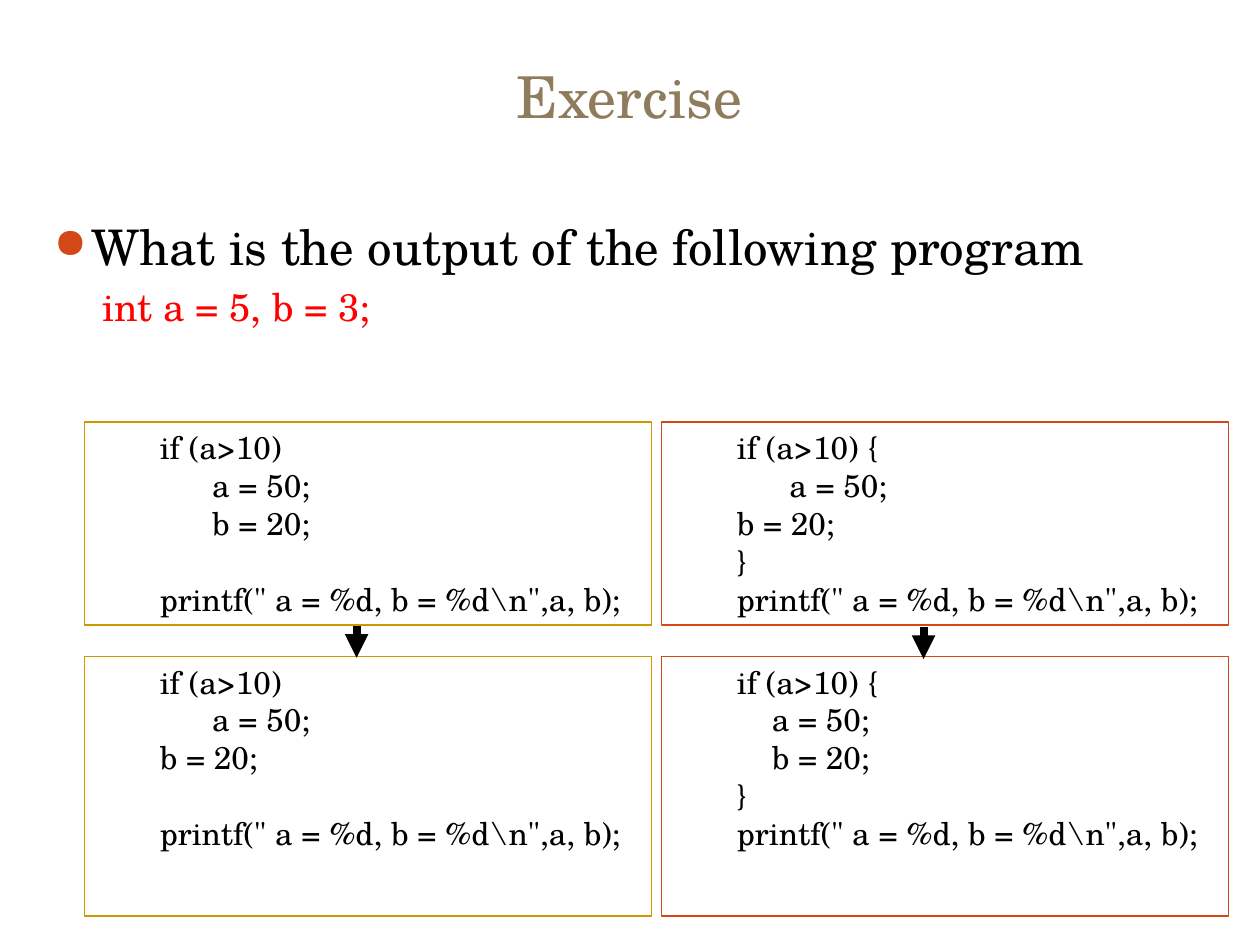
from dataclasses import dataclass

import pptx
import pptx.dml.color
import pptx.enum.shapes
import pptx.enum.text
import pptx.oxml.ns
import pptx.util
from lxml import etree
from pptx.dml.color import RGBColor
from pptx.util import Inches

FONT = "TeX Gyre Schola"
BLACK = RGBColor(0x00, 0x00, 0x00)
RED = RGBColor(0xFF, 0x00, 0x00)
TAUPE = RGBColor(0x8E, 0x7C, 0x5C)
GOLD = RGBColor(0xCC, 0x99, 0x00)
ORANGE = RGBColor(0xD3, 0x48, 0x17)

LEFT, RIGHT = 0.67, 5.25
UPPER, LOWER = 3.35, 5.21
CODE_WIDTH = 4.5
CODE_LINE = 21.6
PRINT_LINE = 'printf(" a = %d, b = %d\\n",a, b);'


@dataclass(frozen=True)
class CodeBox:
    left: float
    top: float
    height: float
    color: RGBColor
    code: tuple[str, ...]


@dataclass(frozen=True)
class Arrow:
    x: float
    top: float
    length: float = 0.25


CODE_BOXES = (
    CodeBox(RIGHT, UPPER, 1.61, ORANGE,
            ("if (a>10) {", "      a = 50;", "b = 20;", "}", PRINT_LINE)),
    CodeBox(LEFT, UPPER, 1.61, GOLD,
            ("if (a>10)", "      a = 50;", "      b = 20;", "", PRINT_LINE)),
    CodeBox(LEFT, LOWER, 2.06, GOLD,
            ("if (a>10)", "      a = 50;", "b = 20;", "", PRINT_LINE)),
    CodeBox(RIGHT, LOWER, 2.06, ORANGE,
            ("if (a>10) {", "    a = 50;", "    b = 20;", "}", PRINT_LINE)),
)
ARROWS = (Arrow(2.83, 4.97), Arrow(7.33, 4.98))


def add_element(parent, tag: str, **attributes: str):
    return etree.SubElement(parent, pptx.oxml.ns.qn(tag), attributes)


def add_paragraph(frame, text: str, *, size: float, color: RGBColor = BLACK,
                  align=pptx.enum.text.PP_ALIGN.LEFT, margin: float = 0,
                  indent: float = 0, before: float = 0,
                  bullet_color: RGBColor | None = None) -> None:
    """Fill the frame's empty first paragraph, or append a new one."""
    first = frame.paragraphs[0]
    para = frame.add_paragraph() if first.runs else first
    para.alignment = align
    para.space_before = pptx.util.Pt(before)
    properties = para._p.get_or_add_pPr()
    properties.set("marL", str(Inches(margin)))
    properties.set("indent", str(Inches(indent)))
    if bullet_color is not None:
        add_element(add_element(properties, "a:buClr"), "a:srgbClr",
                    val=str(bullet_color))
        add_element(properties, "a:buSzPct", val="85000")
        add_element(properties, "a:buChar", char="●")
    span = para.add_run()
    span.text = text
    span.font.name = FONT
    span.font.size = pptx.util.Pt(size)
    span.font.color.rgb = color


def add_text_box(page, left: float, top: float, width: float, height: float,
                 anchor=pptx.enum.text.MSO_ANCHOR.TOP):
    box = page.shapes.add_textbox(Inches(left), Inches(top),
                                  Inches(width), Inches(height))
    box.text_frame.word_wrap = True
    box.text_frame.vertical_anchor = anchor
    return box.text_frame


def draw_code_box(page, item: CodeBox) -> None:
    """Draw an outlined listing; an empty code line becomes space before the next."""
    box = page.shapes.add_shape(
        pptx.enum.shapes.MSO_SHAPE.RECTANGLE, Inches(item.left),
        Inches(item.top), Inches(CODE_WIDTH), Inches(item.height))
    box.shadow.inherit = False
    box.fill.background()
    box.line.color.rgb = item.color
    box.line.width = pptx.util.Pt(0.75)
    frame = box.text_frame
    frame.word_wrap = True
    frame.vertical_anchor = pptx.enum.text.MSO_ANCHOR.TOP
    gap = 0
    for line in item.code:
        if not line:
            gap += CODE_LINE
            continue
        add_paragraph(frame, line, size=18, margin=0.5, before=gap)
        gap = 0


def draw_arrow(page, arrow: Arrow) -> None:
    line = page.shapes.add_connector(
        pptx.enum.shapes.MSO_CONNECTOR.STRAIGHT, Inches(arrow.x),
        Inches(arrow.top), Inches(arrow.x), Inches(arrow.top + arrow.length))
    line.line.color.rgb = BLACK
    line.line.width = pptx.util.Pt(4.5)
    add_element(line.line._get_or_add_ln(), "a:tailEnd", type="triangle")
    add_element(line._element.spPr, "a:effectLst")


def main() -> None:
    deck = pptx.Presentation()
    deck.slide_width = Inches(10)
    deck.slide_height = Inches(7.5)
    page = deck.slides.add_slide(deck.slide_layouts[6])

    title = add_text_box(page, 0.33, 0.25, 9.33, 0.83,
                         pptx.enum.text.MSO_ANCHOR.BOTTOM)
    add_paragraph(title, "Exercise", size=33, color=TAUPE,
                  align=pptx.enum.text.PP_ALIGN.CENTER)

    question = add_text_box(page, 0.33, 1.67, 9.3, 5)
    add_paragraph(question, "What is the output of the following program",
                  size=28, margin=0.3, indent=-0.3, bullet_color=ORANGE)
    add_paragraph(question, " int a = 5, b = 3;", size=22, color=RED,
                  margin=0.6, indent=-0.3, before=4.4)

    for item in CODE_BOXES:
        draw_code_box(page, item)
    for arrow in ARROWS:
        draw_arrow(page, arrow)
    deck.save("out.pptx")


if __name__ == "__main__":
    main()
